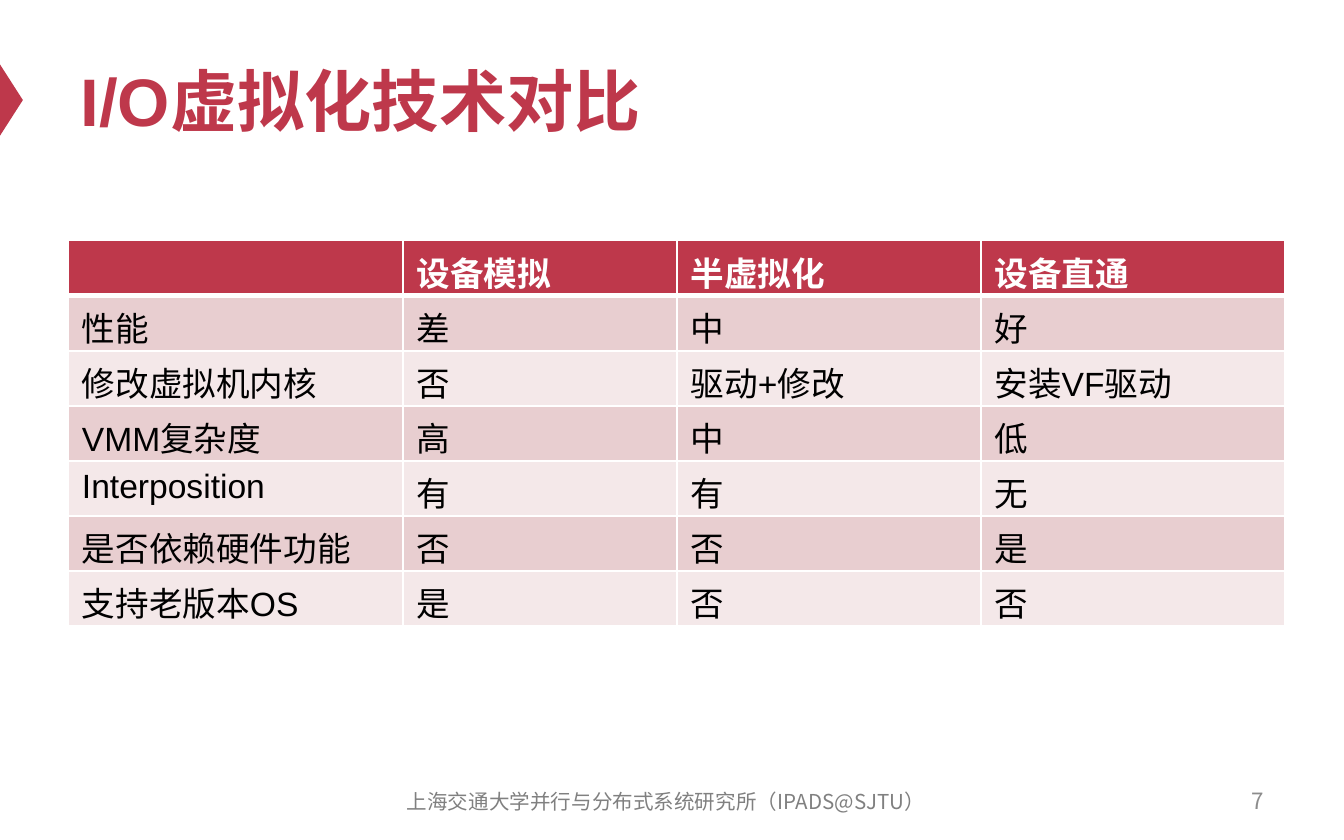
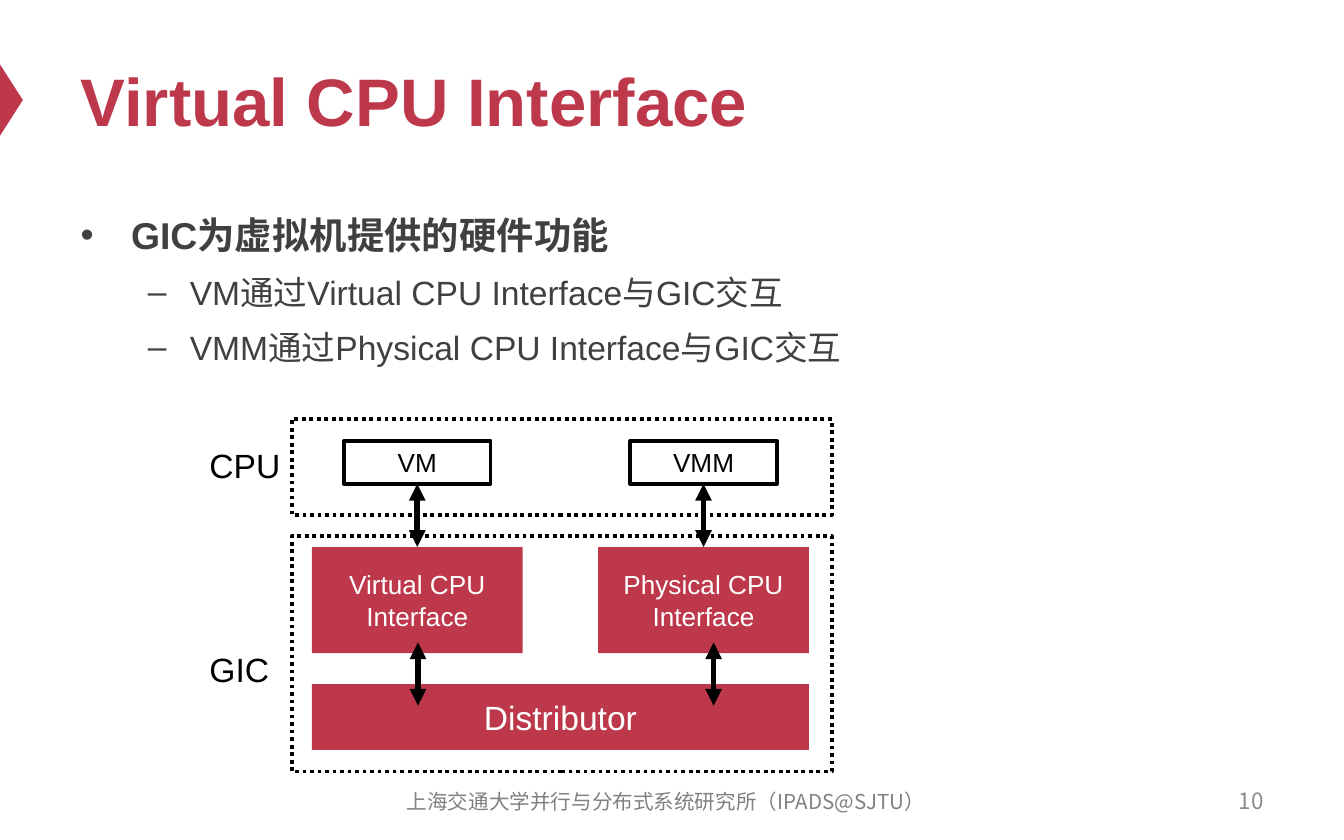
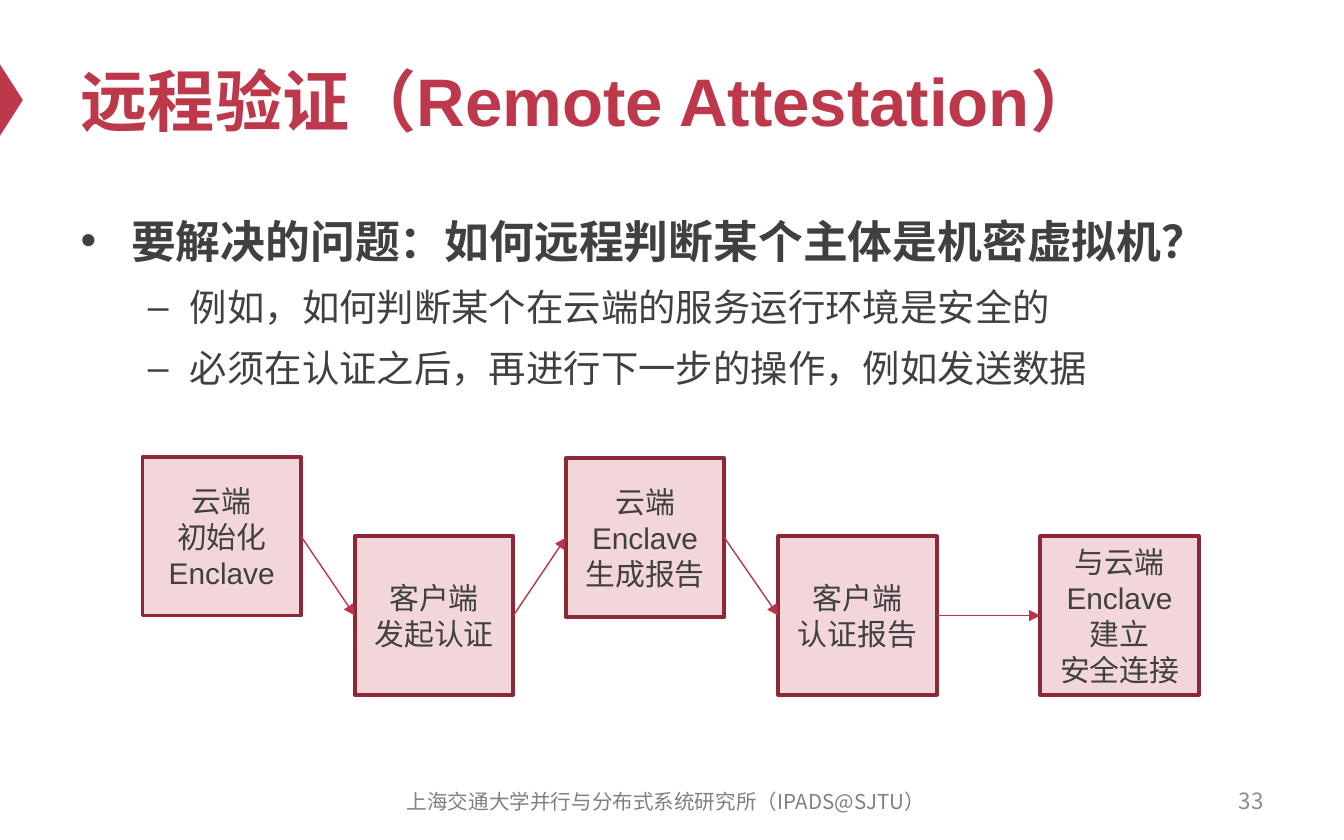
from copy import deepcopy

from lxml.etree import SubElement
from pptx import Presentation
from pptx.dml.color import RGBColor
from pptx.enum.dml import MSO_LINE
from pptx.enum.shapes import MSO_CONNECTOR, MSO_SHAPE
from pptx.enum.text import MSO_ANCHOR, MSO_AUTO_SIZE, PP_ALIGN
from pptx.oxml.ns import qn
from pptx.util import Inches, Pt

RED = RGBColor(0xBE, 0x38, 0x4B)
ARROW_RED = RGBColor(0xBD, 0x33, 0x47)
DARK_RED = RGBColor(0x8D, 0x29, 0x37)
PINK = RGBColor(0xF3, 0xD6, 0xDA)
BAND_DARK = RGBColor(0xE8, 0xCE, 0xD0)
BAND_LIGHT = RGBColor(0xF4, 0xE8, 0xE9)
WHITE = RGBColor(0xFF, 0xFF, 0xFF)
BLACK = RGBColor(0, 0, 0)
INK = RGBColor(0x40, 0x40, 0x40)
FOOT_GRAY = RGBColor(0x80, 0x80, 0x80)
PAGE_GRAY = RGBColor(0x8C, 0x8C, 0x8C)
LATIN, CJK = "Arial", "Noto Sans CJK SC"

FOOTER = "上海交通大学并行与分布式系统研究所（IPADS@SJTU）"

COMPARE = [
    ("", "设备模拟", "半虚拟化", "设备直通"),
    ("性能", "差", "中", "好"),
    ("修改虚拟机内核", "否", "驱动+修改", "安装VF驱动"),
    ("VMM复杂度", "高", "中", "低"),
    ("Interposition", "有", "有", "无"),
    ("是否依赖硬件功能", "否", "否", "是"),
    ("支持老版本OS", "是", "否", "否"),
]
COL_WIDTHS = (2.49, 2.04, 2.26, 2.26)
ROW_HEIGHT = 0.41

GIC_POINTS = [
    "GIC为虚拟机提供的硬件功能",
    "VM通过Virtual CPU Interface与GIC交互",
    "VMM通过Physical CPU Interface与GIC交互",
]
# left edge of the interface, its guest, its lines, x of its lower arrow
LANES = [
    (2.32, "VM", ["Virtual CPU", "Interface"], 3.11),
    (4.45, "VMM", ["Physical CPU", "Interface"], 5.31),
]
ZONES = [("CPU", 3.12, 0.71, 3.26, 0.73), ("GIC", 3.99, 1.75, 4.78, 0.65)]

ATTEST_POINTS = [
    "要解决的问题：如何远程判断某个主体是机密虚拟机？",
    "例如，如何判断某个在云端的服务运行环境是安全的",
    "必须在认证之后，再进行下一步的操作，例如发送数据",
]
STEPS = [
    (1.06, 3.40, ["云端\n初始化", "Enclave"]),
    (2.64, 3.99, ["客户端\n发起认证"]),
    (4.21, 3.41, ["云端", "Enclave\n生成报告"]),
    (5.79, 3.99, ["客户端\n认证报告"]),
    (7.74, 3.99, ["与云端", "Enclave", "建立", "安全连接"]),
]
STEP_SIZE = 1.18
TOP, LEFT, BOTTOM, RIGHT = range(4)  # connection sites of a rectangle


def place(shape, left, top, width, height):
    shape.left, shape.top = Inches(left), Inches(top)
    shape.width, shape.height = Inches(width), Inches(height)


def write(frame, lines, size=18, color=BLACK, bold=False, font=LATIN,
          align=None, anchor=None):
    """Fill a text frame, one paragraph a line; a newline is a line break."""
    if anchor is not None:
        frame.vertical_anchor = anchor
    for i, line in enumerate(lines):
        para = frame.paragraphs[0] if i == 0 else frame.add_paragraph()
        para.text = line
        para.alignment = align
        for run in para.runs:
            run.font.size, run.font.bold = Pt(size), bold
            run.font.color.rgb = color
            run.font.name = font
            props = run.font._element
            SubElement(props, qn("a:ea")).set("typeface", CJK)
            for gap in para._p.findall(qn("a:br")):
                if gap.find(qn("a:rPr")) is None:
                    gap.append(deepcopy(props))


def label(slide, area, text, wrap=True, **fmt):
    box = slide.shapes.add_textbox(*map(Inches, area))
    box.text_frame.word_wrap = wrap
    if not wrap:
        box.text_frame.auto_size = MSO_AUTO_SIZE.SHAPE_TO_FIT_TEXT
    write(box.text_frame, [text], **fmt)


def block(slide, area, lines=(), fill=None, line=None, dash=None,
          kind=MSO_SHAPE.RECTANGLE, **fmt):
    shape = slide.shapes.add_shape(kind, *map(Inches, area))
    shape.shadow.inherit = False
    if fill is None:
        shape.fill.background()
    else:
        shape.fill.solid()
        shape.fill.fore_color.rgb = fill
    if line is None:
        shape.line.fill.background()
    else:
        shape.line.color.rgb = line
        shape.line.width = Pt(2)
        if dash:
            shape.line.dash_style = dash
    write(shape.text_frame, lines, align=PP_ALIGN.CENTER,
          anchor=MSO_ANCHOR.MIDDLE, **fmt)
    return shape


def arrow(slide, start=(0, 0), end=(0, 0), color=BLACK, width=3, both=True,
          link=None):
    """Draw an arrow between points, or glue it to (shape, site) pairs."""
    line = slide.shapes.add_connector(
        MSO_CONNECTOR.STRAIGHT, *map(Inches, (*start, *end)))
    if link:
        line.begin_connect(*link[0])
        line.end_connect(*link[1])
    line.line.color.rgb = color
    line.line.width = Pt(width)
    stroke = line.line._get_or_add_ln()
    for tag in ("a:headEnd", "a:tailEnd") if both else ("a:tailEnd",):
        SubElement(stroke, qn(tag)).set("type", "triangle")
    SubElement(line._element.spPr, qn("a:effectLst"))


def start(deck, title, page, layout):
    slide = deck.slides.add_slide(deck.slide_layouts[layout])
    block(slide, (-0.18, 0.66, 0.53, 0.17), fill=RED,
          kind=MSO_SHAPE.ISOSCELES_TRIANGLE).rotation = 90
    head = slide.shapes.title
    place(head, 0.5, 0.25, 9, 0.98)
    head.text_frame.auto_size = MSO_AUTO_SIZE.NONE
    write(head.text_frame, [title], size=36, color=RED, bold=True,
          align=PP_ALIGN.LEFT, anchor=MSO_ANCHOR.MIDDLE)
    label(slide, (7.17, 5.79, 2.33, 0.33), str(page), size=12, font=CJK,
          color=PAGE_GRAY, align=PP_ALIGN.RIGHT, anchor=MSO_ANCHOR.MIDDLE)
    label(slide, (2.79, 5.8, 4.33, 0.33), FOOTER, size=11, font=CJK,
          color=FOOT_GRAY, align=PP_ALIGN.CENTER, anchor=MSO_ANCHOR.MIDDLE)
    return slide


def points(slide, lines, height, sizes):
    """Put a bold lead and its second-level points in the body."""
    body = slide.placeholders[1]
    place(body, 0.5, 1.46, 9, height)
    frame = body.text_frame
    frame.auto_size = MSO_AUTO_SIZE.NONE
    write(frame, lines, size=sizes[1], color=INK)
    for i, para in enumerate(frame.paragraphs):
        para.line_spacing = 1.2
        para.level = min(i, 1)
    lead = frame.paragraphs[0]
    lead.space_before = Pt(0)
    for run in lead.runs:
        run.font.size, run.font.bold = Pt(sizes[0]), True


def edge(cell, side, width):
    line = SubElement(cell._tc.get_or_add_tcPr(), qn(f"a:ln{side}"),
                      w=str(Pt(width)))
    fill = SubElement(line, qn("a:solidFill"))
    SubElement(fill, qn("a:srgbClr")).set("val", str(WHITE))


def compare(deck):
    slide = start(deck, "I/O虚拟化技术对比", 7, 5)
    rows, cols = len(COMPARE), len(COL_WIDTHS)
    area = (0.51, 1.79, sum(COL_WIDTHS), rows * ROW_HEIGHT)
    table = slide.shapes.add_table(rows, cols, *map(Inches, area)).table
    for col, width in zip(table.columns, COL_WIDTHS):
        col.width = Inches(width)
    for r, values in enumerate(COMPARE):
        table.rows[r].height = Inches(ROW_HEIGHT)
        fill = RED if r == 0 else BAND_DARK if r % 2 else BAND_LIGHT
        for c, value in enumerate(values):
            cell = table.cell(r, c)
            for side in "LRTB":
                thick = (r, side) in ((0, "B"), (1, "T"))
                edge(cell, side, 3 if thick else 1)
            cell.fill.solid()
            cell.fill.fore_color.rgb = fill
            write(cell.text_frame, [value], bold=r == 0,
                  color=BLACK if r else WHITE)


def gic(deck):
    slide = start(deck, "Virtual CPU Interface", 10, 1)
    points(slide, GIC_POINTS, 4.12, (20, 18))
    for name, top, height, text_top, text_width in ZONES:
        block(slide, (2.17, top, 4.02, height), line=BLACK,
              dash=MSO_LINE.ROUND_DOT)
        label(slide, (1.46, text_top, text_width, 0.4), name, wrap=False)
    block(slide, (2.32, 5.09, 3.7, 0.49), ["Distributor"], fill=RED,
          color=WHITE)
    for left, guest, lines, lower in LANES:
        face = block(slide, (left, 4.07, 1.57, 0.79), lines, fill=RED,
                     size=14, color=WHITE)
        user = block(slide, (left + 0.24, 3.28, 1.09, 0.32), [guest],
                     line=BLACK, size=14)
        arrow(slide, link=((user, BOTTOM), (face, TOP)))
        arrow(slide, (lower, 4.78), (lower, 5.25))


def attest(deck):
    slide = start(deck, "远程验证（Remote Attestation）", 33, 1)
    points(slide, ATTEST_POINTS, 1.9, (24, 20))
    boxes = [block(slide, (left, top, STEP_SIZE, STEP_SIZE), lines,
                   fill=PINK, line=DARK_RED, size=16, color=INK)
             for left, top, lines in STEPS]
    for one, two in zip(boxes, boxes[1:]):
        arrow(slide, color=ARROW_RED, width=0.75, both=False,
              link=((one, RIGHT), (two, LEFT)))


def main():
    deck = Presentation()
    deck.slide_width, deck.slide_height = Inches(10), Inches(6.25)
    for build in (compare, gic, attest):
        build(deck)
    deck.save("out.pptx")


if __name__ == "__main__":
    main()
